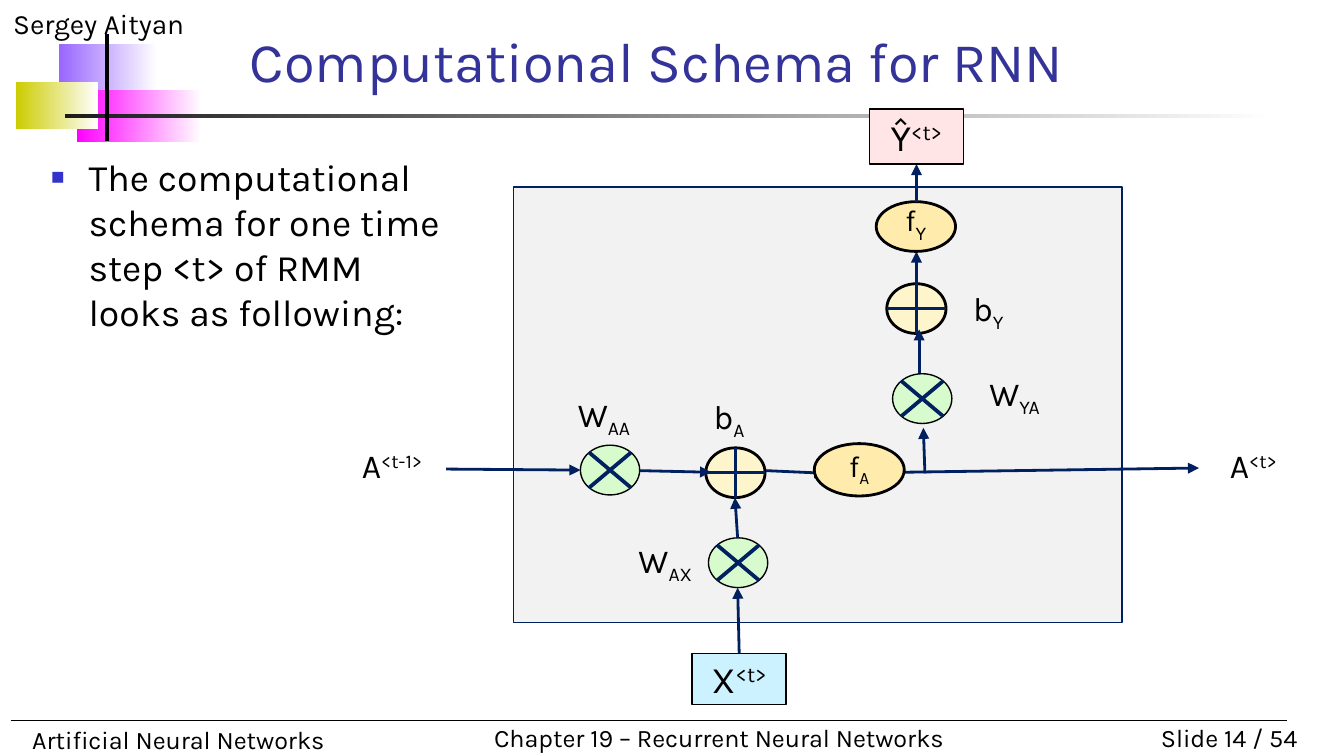
from dataclasses import dataclass
from math import sqrt

from lxml.etree import SubElement
from pptx import Presentation
from pptx.dml.color import RGBColor
from pptx.enum.shapes import MSO_CONNECTOR as Link, MSO_SHAPE as Kind
from pptx.enum.text import MSO_ANCHOR as Anchor, MSO_AUTO_SIZE as Fit, PP_ALIGN as Align
from pptx.oxml.ns import qn
from pptx.util import Cm, Pt

FONT = "Karla"
NAVY, BLACK = "002060", "000000"
GREEN, CREAM, AMBER = "D7FBCD", "FFF5CC", "FFEBAB"
UP, DOWN = 30, -25  # baseline shift in percent
OP_W, OP_H = 1.12, 0.94


@dataclass
class Bar:
    x: float
    y: float
    w: float
    h: float
    hue: str


@dataclass
class Note:
    x: float
    y: float
    w: float
    text: str
    size: float = 13.5
    align: Align = Align.LEFT


@dataclass
class Label:
    """A symbol with a raised or lowered mark."""
    x: float
    y: float
    w: float
    h: float
    base: str
    mark: str
    shift: int = DOWN


@dataclass
class Node(Label):
    fill: str = AMBER
    kind: Kind = Kind.OVAL
    size: float = 16
    small: float = 16
    edge: float = 1.5
    anchor: Anchor = Anchor.BOTTOM


BARS = [
    Bar(1.12, 0.84, 1.85, 0.99, "9966FF"),
    Bar(1.45, 1.7, 2.36, 0.99, "FF00FF"),
    Bar(0.3, 1.55, 1.55, 0.89, "CCCC00"),
    Bar(1.22, 2.16, 22.86, 0.08, "1C1C1C"),
]
NOTES = [
    Note(0, 0, 6.35, "Sergey Aityan", 15),
    Note(20.96, 13.51, 3.81, "Slide 14 / 54", align=Align.RIGHT),
    Note(0.36, 13.56, 9.4, "Artificial Neural Networks"),
    Note(9.09, 13.51, 9.14, "Chapter 19 – Recurrent Neural Networks"),
]
LABELS = [
    Label(6.38, 8.41, 2.06, 0.91, "A", "<t-1>", UP),
    Label(22.66, 8.41, 2.06, 0.91, "A", "<t>", UP),
    Label(10.49, 7.44, 1.85, 0.76, "W", "AA"),
    Label(13.03, 7.47, 1.5, 0.76, "b", "A"),
    Label(11.66, 10.19, 1.83, 0.76, "W", "AX"),
    Label(18.16, 7.04, 2.03, 0.76, "W", "YA"),
    Label(17.93, 5.44, 1.5, 0.76, "b", "Y"),
]
TIMES = [(10.97, 8.41), (13.39, 10.16), (16.87, 7.06)]
PLUS = [(13.34, 8.46), (16.76, 5.36)]
ARROWS = [
    (8.43, 8.86, 10.97, 8.88),
    (12.09, 8.89, 13.44, 8.92),
    (13.94, 10.16, 13.89, 9.4),
    (14.48, 8.89, 15.6, 8.94),
    (17.09, 8.92, 22.66, 8.84),
    (17.48, 8.94, 17.45, 8.08),
    (17.37, 7.04, 17.37, 6.22),
    (17.32, 5.36, 17.32, 4.75),
]
F_Y = Node(16.56, 3.81, 1.5, 0.94, "f", "Y", small=18)
F_A = Node(15.39, 8.38, 1.7, 0.99, "f", "A")
BOX = dict(shift=UP, kind=Kind.RECTANGLE, size=20, small=20, edge=0.75,
           anchor=Anchor.MIDDLE)
OUT = Node(16.43, 2.06, 1.78, 1.04, "Ŷ", "<t>", fill="FFE5E5", **BOX)
IN = Node(13.08, 12.34, 1.78, 0.97, "X", "<t>", fill="CDF2FF", **BOX)


def color(code: str) -> RGBColor:
    return RGBColor.from_string(code)


def add_run(para, text: str, size: float, hue: str = BLACK, shift: int = 0):
    run = para.add_run()
    run.text = text
    font = run.font
    font.name, font.size, font.color.rgb = FONT, Pt(size), color(hue)
    if shift:
        run._r.get_or_add_rPr().set("baseline", str(shift * 1000))


def add_line(shapes, x1, y1, x2, y2, hue=NAVY, width=1.5, head=False):
    line = shapes.add_connector(Link.STRAIGHT, Cm(x1), Cm(y1), Cm(x2), Cm(y2))
    line.line.color.rgb, line.line.width = color(hue), Pt(width)
    if head:
        SubElement(line.line._get_or_add_ln(), qn("a:tailEnd"), type="triangle")
    SubElement(line._element.spPr, qn("a:effectLst"))
    return line


def add_form(shapes, kind, x, y, w, h, fill, edge, width):
    form = shapes.add_shape(kind, Cm(x), Cm(y), Cm(w), Cm(h))
    form.shadow.inherit = False
    form.fill.solid()
    form.fill.fore_color.rgb = color(fill)
    form.line.color.rgb, form.line.width = color(edge), Pt(width)
    return form


def add_bar(shapes, bar: Bar):
    """Draw a band that fades to white on the right."""
    form = shapes.add_shape(Kind.RECTANGLE, Cm(bar.x), Cm(bar.y), Cm(bar.w), Cm(bar.h))
    form.shadow.inherit = False
    form.line.fill.background()
    form.fill.gradient()
    form.fill.gradient_angle = 0
    for stop, hue in zip(form.fill.gradient_stops, (bar.hue, "FFFFFF")):
        stop.color.rgb = color(hue)


def add_note(shapes, note: Note):
    frame = shapes.add_textbox(Cm(note.x), Cm(note.y), Cm(note.w), Cm(0.84)).text_frame
    frame.word_wrap = True
    para = frame.paragraphs[0]
    para.alignment = note.align
    add_run(para, note.text, note.size)


def write(frame, item: Label, size: float, small: float):
    """Set the symbol and its mark, centred and without margins."""
    frame.margin_left = frame.margin_right = frame.margin_top = frame.margin_bottom = 0
    para = frame.paragraphs[0]
    para.alignment = Align.CENTER
    add_run(para, item.base, size)
    add_run(para, item.mark, small, shift=item.shift)


def add_label(shapes, item: Label):
    frame = shapes.add_textbox(Cm(item.x), Cm(item.y), Cm(item.w), Cm(item.h)).text_frame
    frame.word_wrap = True
    write(frame, item, 18, 18)


def add_node(shapes, node: Node):
    form = add_form(shapes, node.kind, node.x, node.y, node.w, node.h,
                    node.fill, BLACK, node.edge)
    frame = form.text_frame
    frame.word_wrap, frame.vertical_anchor = False, node.anchor
    write(frame, node, node.size, node.small)
    return form


def add_times(shapes, x: float, y: float):
    add_form(shapes, Kind.OVAL, x, y, OP_W, OP_H, GREEN, BLACK, 0.75)
    cut = (1 - 1 / sqrt(2)) / 2  # where the diagonals meet the rim
    left, right = x + cut * OP_W, x + (1 - cut) * OP_W
    top, low = y + cut * OP_H, y + (1 - cut) * OP_H
    add_line(shapes, left, top, right, low, width=2)
    add_line(shapes, left, low, right, top, width=2)


def add_plus(shapes, x: float, y: float):
    add_form(shapes, Kind.OVAL, x, y, OP_W, OP_H, CREAM, BLACK, 1.5)
    add_line(shapes, x, y + OP_H / 2, x + OP_W, y + OP_H / 2)
    add_line(shapes, x + OP_W / 2, y, x + OP_W / 2, y + OP_H)


def place(holder, x, y, w, h, anchor):
    holder.left, holder.top, holder.width, holder.height = Cm(x), Cm(y), Cm(w), Cm(h)
    frame = holder.text_frame
    frame.word_wrap, frame.auto_size, frame.vertical_anchor = True, Fit.NONE, anchor
    return frame.paragraphs[0]


def fill_text(slide):
    para = place(slide.shapes.title, 4.47, 0.53, 18.67, 1.37, Anchor.BOTTOM)
    para.alignment = Align.LEFT
    add_run(para, "Computational Schema for RNN", 30, "333399")

    para = place(slide.placeholders[1], 0.71, 2.79, 8.23, 2.24, Anchor.TOP)
    props = para._p.get_or_add_pPr()
    props.set("marL", str(Cm(0.71)))
    props.set("indent", str(-Cm(0.71)))
    SubElement(SubElement(props, qn("a:buClr")), qn("a:srgbClr"), val="3333CC")
    SubElement(props, qn("a:buSzPct"), val="60000")
    SubElement(props, qn("a:buChar"), char="■")
    para.space_before = Pt(0)
    add_run(para, "The computational schema for one time step <t> of RMM "
                  "looks as following:", 20)


def main():
    deck = Presentation()
    deck.slide_width, deck.slide_height = Cm(25.4), Cm(14.28)
    slide = deck.slides.add_slide(deck.slide_layouts[1])
    shapes = slide.shapes
    for bar in BARS:
        add_bar(shapes, bar)
    for note in NOTES:
        add_note(shapes, note)
    add_line(shapes, 0.2, 13.61, 24.33, 13.61, BLACK, 0.75)
    add_line(shapes, 2.03, 0.64, 2.03, 2.67, BLACK, 2)
    fill_text(slide)

    add_form(shapes, Kind.RECTANGLE, 9.7, 3.53, 11.51, 8.23, "F2F2F2", NAVY, 0.75)
    for spot in TIMES:
        add_times(shapes, *spot)
    for spot in PLUS:
        add_plus(shapes, *spot)
    for ends in ARROWS:
        add_line(shapes, *ends, head=True)
    for label in LABELS:
        add_label(shapes, label)
    for node in (F_Y, F_A):
        add_node(shapes, node)
    feed = add_line(shapes, 13.97, 12.34, 13.94, 11.1, head=True)
    feed.begin_connect(add_node(shapes, IN), 0)
    yield_ = add_line(shapes, 17.32, 3.81, 17.32, 3.1, head=True)
    yield_.end_connect(add_node(shapes, OUT), 2)
    deck.save("out.pptx")


if __name__ == "__main__":
    main()
